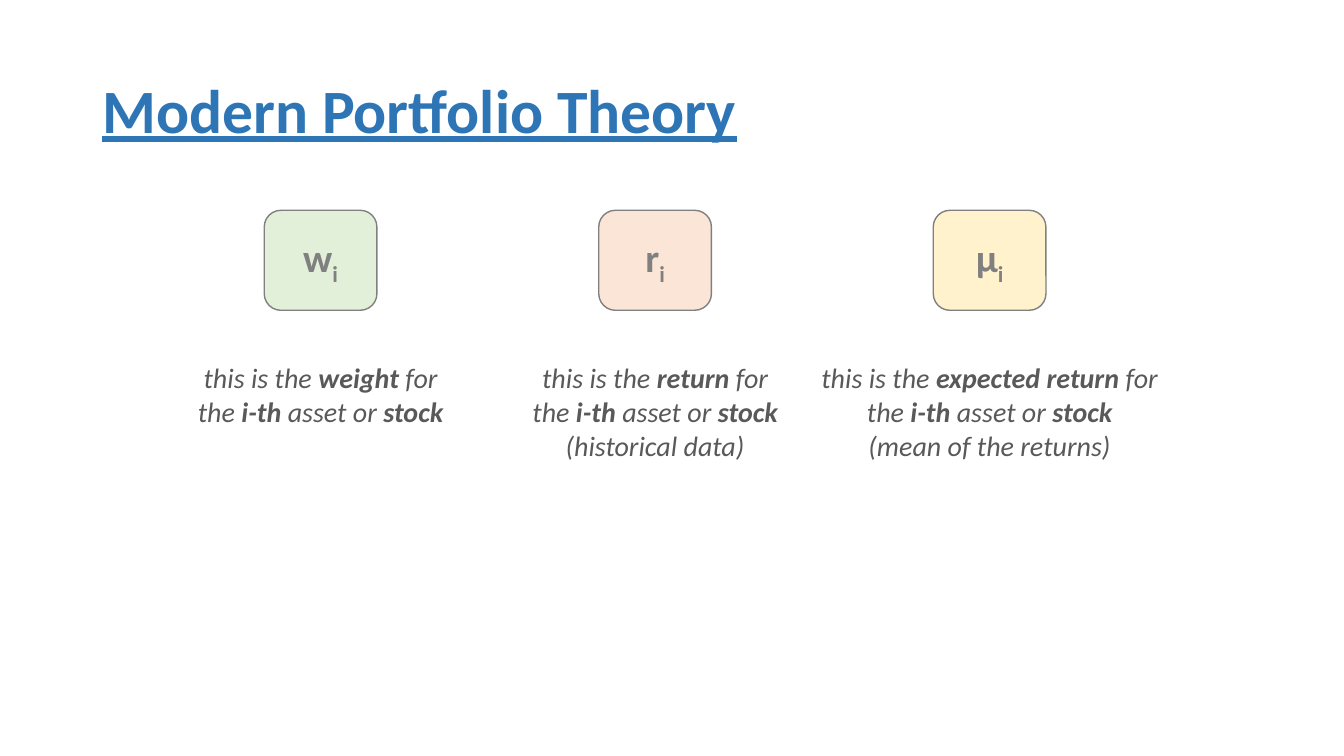
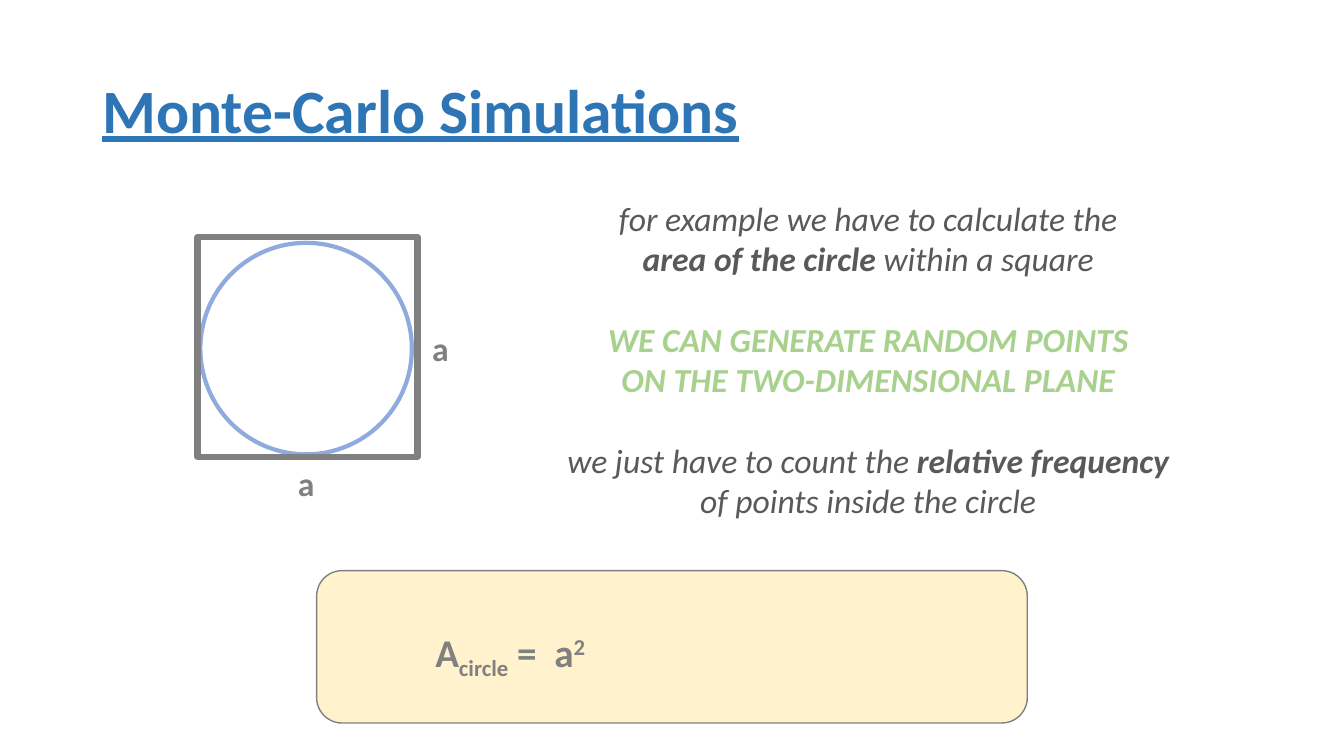
"""Build two finance slides: portfolio theory symbols and a Monte-Carlo example."""
from dataclasses import dataclass

from pptx import Presentation
from pptx.dml.color import RGBColor
from pptx.enum.shapes import MSO_SHAPE
from pptx.enum.text import MSO_ANCHOR, PP_ALIGN
from pptx.util import Cm, Pt

ROUNDED, OVAL, SQUARE = MSO_SHAPE.ROUNDED_RECTANGLE, MSO_SHAPE.OVAL, MSO_SHAPE.RECTANGLE
MIDDLE, TOP = MSO_ANCHOR.MIDDLE, MSO_ANCHOR.TOP
LEFT, CENTER = PP_ALIGN.LEFT, PP_ALIGN.CENTER


@dataclass(frozen=True)
class Theme:
    font: str = "Calibri"
    title: str = "2E75B6"
    gray: str = "808080"
    body: str = "595959"
    accent: str = "A9D18E"
    circle: str = "8FAADC"
    green: str = "E2F0D9"
    orange: str = "FBE5D6"
    yellow: str = "FFF2CC"
    title_size: int = 44
    symbol_size: int = 28
    text_size: int = 24
    caption_size: int = 20


THEME = Theme()
BASELINES = {"sub": "-25000", "sup": "30000"}

ASSET_LINE = ["the", ("i-th", "bold"), "asset or", ("stock", "bold")]
SYMBOLS = [
    ("w", THEME.green, 6.8, "weight", []),
    ("r", THEME.orange, 6.73, "return", ["(historical data)"]),
    ("μ", THEME.yellow, 9.04, "expected return", ["(mean of the returns)"]),
]
EXPLANATION = [
    (THEME.body, [["for example we have to calculate the"],
                  [("area of the circle", "bold"), "within a square"]]),
    (THEME.accent, [[("WE CAN GENERATE RANDOM POINTS", "bold")],
                    [("ON THE TWO-DIMENSIONAL PLANE", "bold")]]),
    (THEME.body, [["we just have to count the", ("relative frequency", "bold")],
                  ["of points inside the circle"]]),
]
AREA_FORMULA = [("A", ""), ("circle", "sub"), (" =  a", ""), ("2", "sup")]
SIDE_LABELS = [(7.26, 11.53), (10.64, 8.13)]


def rgb(color):
    return RGBColor.from_string(color)


def style(paragraph, size, color, align=LEFT, bold=None, italic=None):
    paragraph.alignment = align
    font = paragraph.font
    font.name, font.size, font.bold, font.italic = THEME.font, Pt(size), bold, italic
    font.color.rgb = rgb(color)


def add_paragraph(frame, first):
    return frame.paragraphs[0] if first else frame.add_paragraph()


def write_prose(paragraph, pieces):
    for position, piece in enumerate(pieces):
        words, mark = (piece, "") if isinstance(piece, str) else piece
        run = paragraph.add_run()
        run.text = words if position == 0 else " " + words
        if mark == "bold":
            run.font.bold = True


def write_formula(paragraph, terms, align=LEFT):
    for term, script in terms:
        run = paragraph.add_run()
        run.text = term
        if script:
            run._r.get_or_add_rPr().set("baseline", BASELINES[script])
    style(paragraph, THEME.symbol_size, THEME.gray, align, bold=True)


def add_text_frame(slide, left, top, width, height, anchor=TOP, wrap=False):
    frame = slide.shapes.add_textbox(Cm(left), Cm(top), Cm(width), Cm(height)).text_frame
    frame.word_wrap = wrap
    frame.vertical_anchor = anchor
    return frame


def add_outline(slide, kind, left, top, width, height, line, weight, fill=None):
    shape = slide.shapes.add_shape(kind, Cm(left), Cm(top), Cm(width), Cm(height))
    shape.shadow.inherit = False
    if fill:
        shape.fill.solid()
        shape.fill.fore_color.rgb = rgb(fill)
    else:
        shape.fill.background()
    shape.line.color.rgb = rgb(line)
    shape.line.width = Pt(weight)
    return shape


def add_titled_slide(deck, title):
    slide = deck.slides.add_slide(deck.slide_layouts[6])
    heading = add_text_frame(slide, 2.33, 1.01, 29.21, 3.68, MIDDLE, True).paragraphs[0]
    heading.text = title
    heading.line_spacing = 0.9
    style(heading, THEME.title_size, THEME.title, bold=True)
    heading.font.underline = True
    return slide


def build_portfolio(deck):
    slide = add_titled_slide(deck, "Modern Portfolio Theory")
    first_center, pitch, tile_width = 8.08, 8.43, 2.84
    for column, (symbol, fill, caption_width, meaning, extra) in enumerate(SYMBOLS):
        center = first_center + column * pitch
        tile = add_outline(slide, ROUNDED, center - tile_width / 2, 5.3, tile_width, 2.52,
                           THEME.gray, 1, fill)
        tile.text_frame.vertical_anchor = MIDDLE
        write_formula(tile.text_frame.paragraphs[0], [(symbol, ""), ("i", "sub")], CENTER)
        caption = add_text_frame(slide, center - caption_width / 2, 8.97, caption_width, 3.68)
        lines = [["this is the", (meaning, "bold"), "for"], ASSET_LINE]
        lines += [[note] for note in extra]
        for row, pieces in enumerate(lines):
            paragraph = add_paragraph(caption, row == 0)
            write_prose(paragraph, pieces)
            style(paragraph, THEME.caption_size, THEME.body, CENTER, italic=True)


def build_monte_carlo(deck):
    slide = add_titled_slide(deck, "Monte-Carlo Simulations")
    add_outline(slide, ROUNDED, 7.98, 14.38, 17.91, 3.84, THEME.gray, 1, THEME.yellow)
    add_outline(slide, OVAL, 5.05, 6.12, 5.33, 5.33, THEME.circle, 3)
    add_outline(slide, SQUARE, 4.98, 5.97, 5.54, 5.54, THEME.gray, 4.5)
    for left, top in SIDE_LABELS:
        side = add_text_frame(slide, left, top, 0.94, 1.27).paragraphs[0]
        side.text = "a"
        style(side, THEME.text_size, THEME.gray, bold=True)
    explanation = add_text_frame(slide, 13.97, 4.85, 15.82, 8.46)
    for step, (color, lines) in enumerate(EXPLANATION):
        for row, pieces in enumerate(lines):
            paragraph = add_paragraph(explanation, step == row == 0)
            write_prose(paragraph, pieces)
            style(paragraph, THEME.text_size, color, CENTER, italic=True)
            if step and row == 0:
                paragraph.space_before = Pt(29)
    formula = add_text_frame(slide, 10.72, 15.7, 5.03, 1.45)
    write_formula(formula.paragraphs[0], AREA_FORMULA)


def main():
    deck = Presentation()
    deck.slide_width, deck.slide_height = Cm(33.87), Cm(19.05)
    build_portfolio(deck)
    build_monte_carlo(deck)
    deck.save("out.pptx")


if __name__ == "__main__":
    main()
